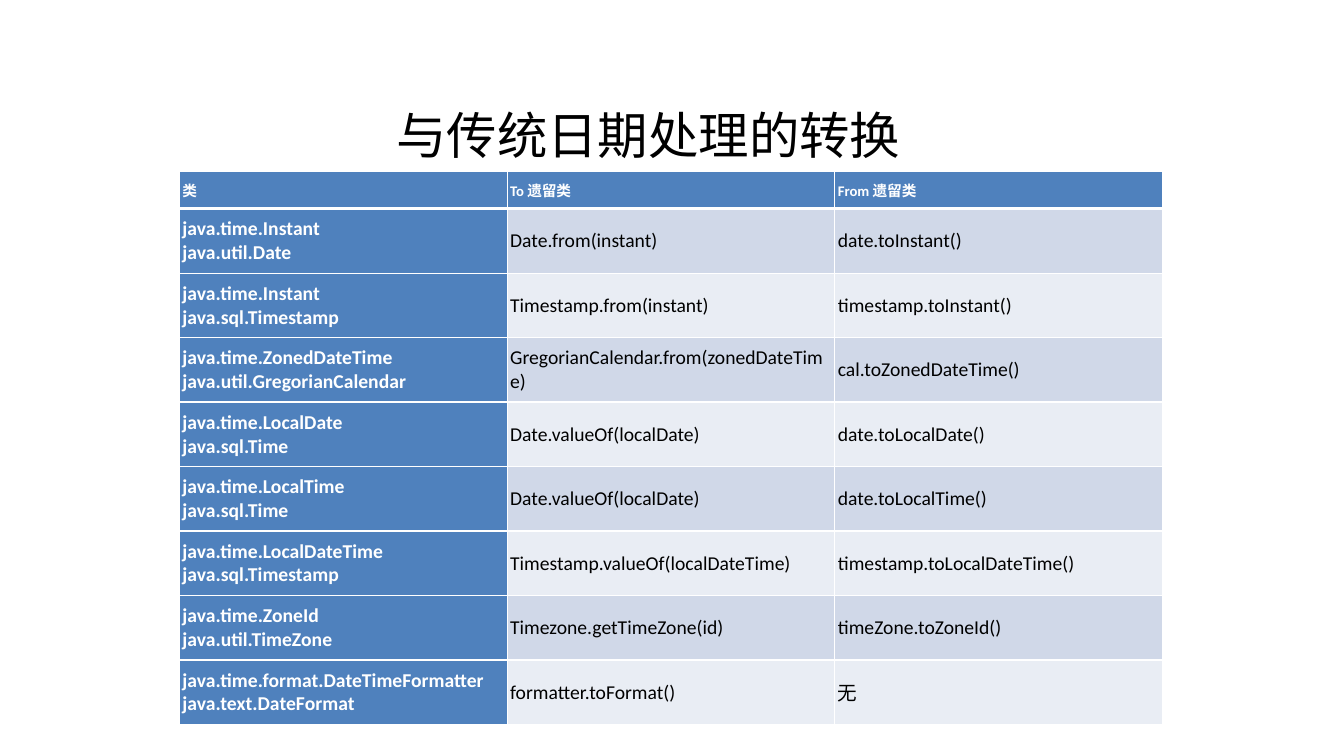
from copy import deepcopy

from lxml import etree
from pptx import Presentation
from pptx.dml.color import RGBColor
from pptx.enum.text import MSO_ANCHOR, PP_ALIGN
from pptx.oxml.ns import qn
from pptx.util import Inches, Pt

MIDDLE = MSO_ANCHOR.MIDDLE
LEFT = PP_ALIGN.LEFT
CENTER = PP_ALIGN.CENTER
BLACK = RGBColor(0x00, 0x00, 0x00)
WHITE = RGBColor(0xFF, 0xFF, 0xFF)
BLUE = RGBColor(0x4F, 0x81, 0xBD)
BAND_DARK = RGBColor(0xD0, 0xD8, 0xE8)
BAND_LIGHT = RGBColor(0xE9, 0xED, 0xF4)
LATIN_FONT = "Calibri"
CHINESE_FONT = "Noto Sans CJK SC"

CONVERSIONS = [
    ("类", "To 遗留类", "From 遗留类"),
    ("java.time.Instant\njava.util.Date", "Date.from(instant)", "date.toInstant()"),
    ("java.time.Instant\njava.sql.Timestamp", "Timestamp.from(instant)", "timestamp.toInstant()"),
    ("java.time.ZonedDateTime\njava.util.GregorianCalendar",
     "GregorianCalendar.from(zonedDateTime)", "cal.toZonedDateTime()"),
    ("java.time.LocalDate\njava.sql.Time", "Date.valueOf(localDate)", "date.toLocalDate()"),
    ("java.time.LocalTime\njava.sql.Time", "Date.valueOf(localDate)", "date.toLocalTime()"),
    ("java.time.LocalDateTime\njava.sql.Timestamp",
     "Timestamp.valueOf(localDateTime)", "timestamp.toLocalDateTime()"),
    ("java.time.ZoneId\njava.util.TimeZone", "Timezone.getTimeZone(id)", "timeZone.toZoneId()"),
    ("java.time.format.DateTimeFormatter\njava.text.DateFormat", "formatter.toFormat()", "无"),
]


def write_text(frame, text, size, color, font=LATIN_FONT, bold=False, align=LEFT):
    para = frame.paragraphs[0]
    para.text = text
    para.alignment = align
    for span in para.runs:
        span.font.size = Pt(size)
        span.font.name = font
        span.font.bold = bold
        span.font.color.rgb = color
        east_asian = etree.Element(qn("a:ea"), typeface=CHINESE_FONT)
        span.font._element.find(qn("a:latin")).addnext(east_asian)
    for line_break in para._p.findall(qn("a:br")):
        line_break.append(deepcopy(para.runs[0].font._element))


def set_borders(cell, top, bottom):
    properties = cell._tc.get_or_add_tcPr()
    sides = [("a:lnL", 1), ("a:lnR", 1), ("a:lnT", top), ("a:lnB", bottom)]
    for position, (side, width) in enumerate(sides):
        line = etree.Element(qn(side), w=str(Pt(width)))
        fill = etree.SubElement(line, qn("a:solidFill"))
        etree.SubElement(fill, qn("a:srgbClr"), val=str(WHITE))
        properties.insert(position, line)


deck = Presentation()
deck.slide_width = Inches(13.33)
deck.slide_height = Inches(7.5)
page = deck.slides.add_slide(deck.slide_layouts[5])

title = page.shapes.title
title.left, title.top = Inches(1.93), Inches(0.86)
title.width, title.height = Inches(9), Inches(0.94)
title.text_frame.vertical_anchor = MIDDLE
write_text(title.text_frame, "与传统日期处理的转换", size=36, color=BLACK,
           font=CHINESE_FONT, align=CENTER)

table = page.shapes.add_table(len(CONVERSIONS), 3, Inches(1.78), Inches(1.7),
                              Inches(9.76), Inches(5.47)).table
for column in table.columns:
    column.width = Inches(3.25)

for row_index, texts in enumerate(CONVERSIONS):
    is_header = row_index == 0
    table.rows[row_index].height = Inches(0.37 if is_header else 0.64)
    band = BAND_DARK if row_index % 2 else BAND_LIGHT
    for column_index, text in enumerate(texts):
        is_heading = is_header or column_index == 0
        cell = table.cell(row_index, column_index)
        cell.vertical_anchor = MIDDLE
        cell.margin_left = cell.margin_right = Inches(0.03)
        cell.margin_top = cell.margin_bottom = Inches(0.03)
        cell.fill.solid()
        cell.fill.fore_color.rgb = BLUE if is_heading else band
        set_borders(cell, top=3 if row_index == 1 else 1, bottom=3 if is_header else 1)
        write_text(cell.text_frame, text, size=10.5 if is_header else 14,
                   color=WHITE if is_heading else BLACK, bold=is_heading)

deck.save("out.pptx")
